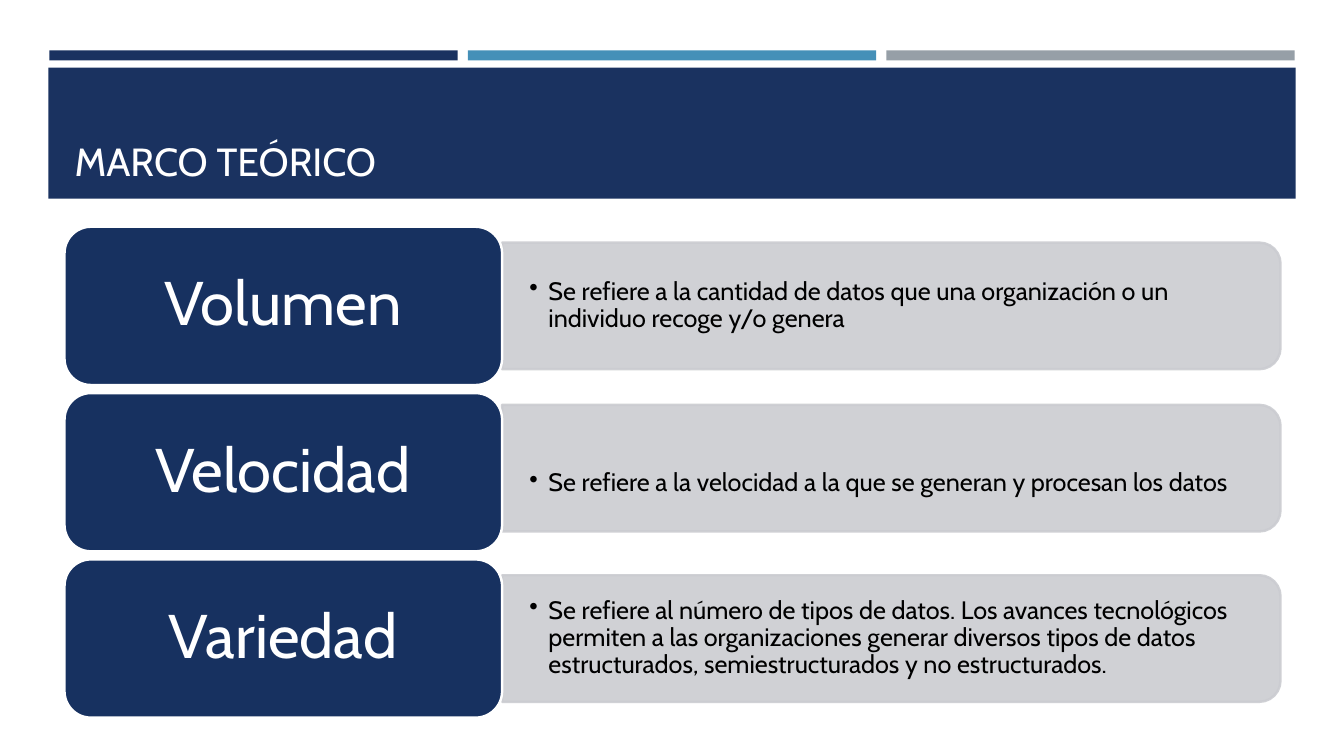
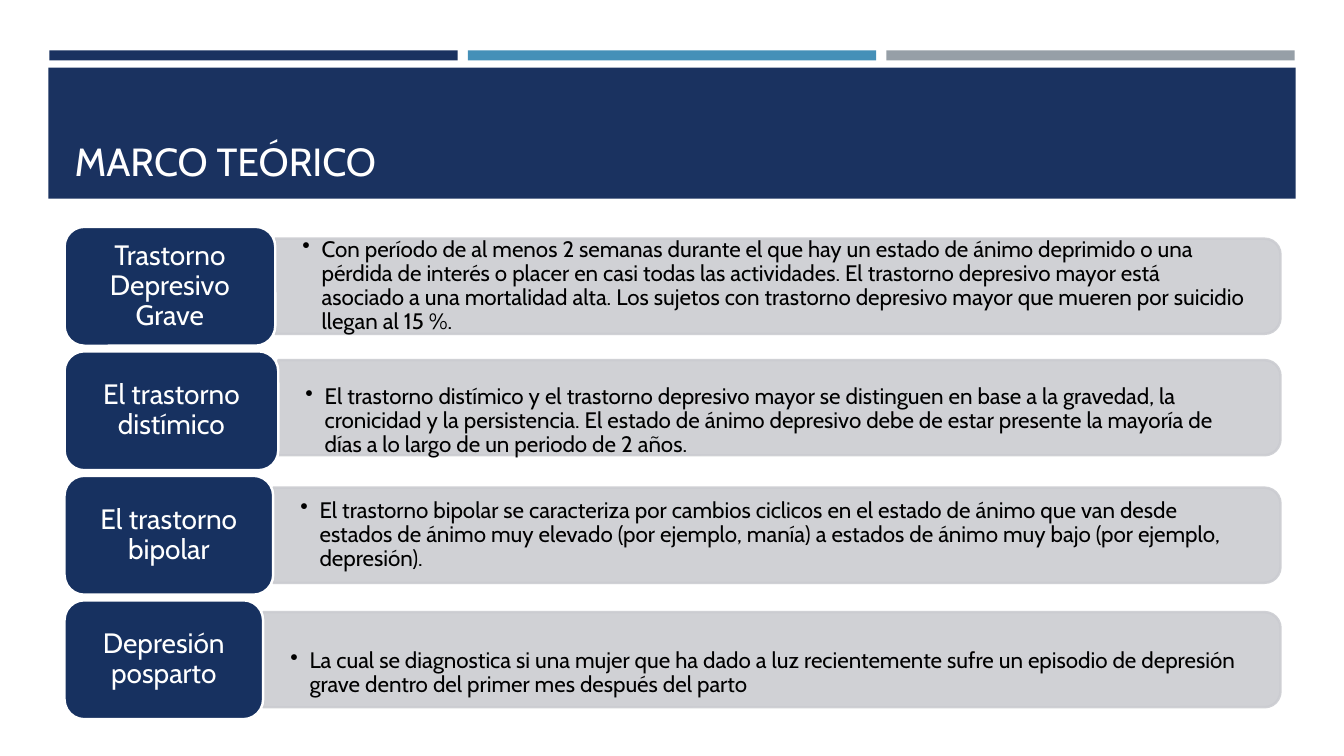
from lxml.etree import SubElement
from pptx import Presentation
from pptx.dml.color import RGBColor
from pptx.enum.shapes import MSO_SHAPE
from pptx.enum.text import MSO_ANCHOR, PP_ALIGN
from pptx.oxml.ns import qn
from pptx.util import Inches, Pt

FONT = "Cabin"
NAVY, BLUE, GRAY = "1A3260", "4590B8", "969FA7"
TILE, PANEL, WHITE, BLACK = "173160", "CBCCD1", "FFFFFF", "000000"

ROW_LEFT, ROW_TOP = 0.64, 2.25
PANEL_RIGHT, TEXT_RIGHT = 12.7, 12.64
CORNER = 0.167

# Each row: label, label width, text, panel lift, whether the text sits half a line low
BIG_DATA = [
    ("Volumen", 4.34, "Se refiere a la cantidad de datos que una organización o un "
     "individuo recoge y/o genera", 0, False),
    ("Velocidad", 4.34, "Se refiere a la velocidad a la que se generan y procesan los datos",
     0.04, True),
    ("Variedad", 4.34, "Se refiere al número de tipos de datos. Los avances tecnológicos "
     "permiten a las organizaciones generar diversos tipos de datos estructurados, "
     "semiestructurados y no estructurados.", 0, False),
]
DISORDERS = [
    ("Trastorno Depresivo Grave", 2.09, "Con período de al menos 2 semanas durante el que hay "
     "un estado de ánimo deprimido o una pérdida de interés o placer en casi todas las "
     "actividades. El trastorno depresivo mayor está asociado a una mortalidad alta. Los "
     "sujetos con trastorno depresivo mayor que mueren por suicidio llegan al 15 %.", 0, False),
    ("El trastorno distímico", 2.12, "El trastorno distímico y el trastorno depresivo mayor se "
     "distinguen en base a la gravedad, la cronicidad y la persistencia. El estado de ánimo "
     "depresivo debe de estar presente la mayoría de días a lo largo de un periodo de 2 años.",
     0.03, True),
    ("El trastorno bipolar", 2.07, "El trastorno bipolar se caracteriza por cambios ciclicos en "
     "el estado de ánimo que van desde estados de ánimo muy elevado (por ejemplo, manía) a "
     "estados de ánimo muy bajo (por ejemplo, depresión).", 0, False),
    ("Depresión posparto", 1.97, "La cual se diagnostica si una mujer que ha dado a luz "
     "recientemente sufre un episodio de depresión grave dentro del primer mes después del "
     "parto", 0, True),
]


def rgb(color):
    return RGBColor.from_string(color)


def add_box(s, kind, left, top, width, height, fill, line=None):
    sp = s.shapes.add_shape(kind, Inches(left), Inches(top), Inches(width), Inches(height))
    sp.shadow.inherit = False
    sp.fill.solid()
    sp.fill.fore_color.rgb = rgb(fill)
    if line:
        sp.line.color.rgb = rgb(line)
        sp.line.width = Pt(1.75)
    else:
        sp.line.fill.background()
    return sp


def set_text(sp, text, size, color, anchor, side, bottom=0, align=PP_ALIGN.LEFT, spacing=None):
    tf = sp.text_frame
    tf.word_wrap = True
    tf.vertical_anchor = anchor
    tf.margin_left = tf.margin_right = Inches(side)
    tf.margin_top, tf.margin_bottom = 0, Inches(bottom)
    p = tf.paragraphs[0]
    p.text = text
    p.alignment = align
    p.line_spacing = spacing
    p.font.name = FONT
    p.font.size = Pt(size)
    p.font.color.rgb = rgb(color)
    return p


def add_bullet(p, indent):
    pPr = p._p.get_or_add_pPr()
    pPr.set("marL", str(Inches(indent)))
    pPr.set("indent", str(-Inches(indent)))
    bullet = pPr.makeelement(qn("a:buChar"), {"char": "•"})
    pPr.insert_element_before(bullet, "a:tabLst", "a:defRPr", "a:extLst")


def add_header(s, title):
    for i, color in enumerate((NAVY, BLUE, GRAY)):
        add_box(s, MSO_SHAPE.RECTANGLE, 0.49 + i * 4.15, 0.5, 4.05, 0.1, color)
    band = add_box(s, MSO_SHAPE.RECTANGLE, 0.48, 0.67, 12.37, 1.3, NAVY)
    set_text(band, title, 28, WHITE, MSO_ANCHOR.BOTTOM, 0.26, 0.14)


def add_panel(s, left, middle, height):
    """Translucent panel, rounded on the right: a shape with a round top, turned by 90 degrees."""
    length = PANEL_RIGHT - left
    center = left + length / 2
    sp = add_box(s, MSO_SHAPE.ROUND_2_SAME_RECTANGLE, center - height / 2, middle - length / 2,
                 height, length, PANEL, PANEL)
    sp.rotation = 90
    sp.adjustments[0] = CORNER
    for color in sp._element.spPr.iter(qn("a:srgbClr")):
        SubElement(color, qn("a:alpha"), val="90000")


def add_row(s, row, top, height, label_size, text_size, label_side):
    label, width, text, lift, lowered = row
    left = ROW_LEFT + width
    middle = top + height / 2 - lift
    add_panel(s, left, middle, height * 0.8)

    text_height = height * 0.72
    drop = text_size * 0.0085 if lowered else 0
    box = s.shapes.add_textbox(Inches(left), Inches(middle - text_height / 2 + drop),
                               Inches(TEXT_RIGHT - left), Inches(text_height))
    p = set_text(box, text, text_size, BLACK, MSO_ANCHOR.MIDDLE, 0.27, spacing=0.9)
    add_bullet(p, 0.19)

    tile = add_box(s, MSO_SHAPE.ROUNDED_RECTANGLE, ROW_LEFT, top, width, height, TILE, WHITE)
    tile.adjustments[0] = CORNER
    set_text(tile, label, label_size, WHITE, MSO_ANCHOR.MIDDLE, label_side,
             align=PP_ALIGN.CENTER, spacing=0.9)


def add_list_slide(prs, rows, pitch, height, label_size, text_size, label_side):
    s = prs.slides.add_slide(prs.slide_layouts[6])
    add_header(s, "MARCO TEÓRICO")
    for i, row in enumerate(rows):
        add_row(s, row, ROW_TOP + i * pitch, height, label_size, text_size, label_side)


def main():
    prs = Presentation()
    prs.slide_width, prs.slide_height = Inches(13.33), Inches(7.5)
    add_list_slide(prs, BIG_DATA, 1.65, 1.57, 44, 18, 0.25)
    add_list_slide(prs, DISORDERS, 1.235, 1.18, 20, 16, 0.13)
    prs.save("out.pptx")


if __name__ == "__main__":
    main()
